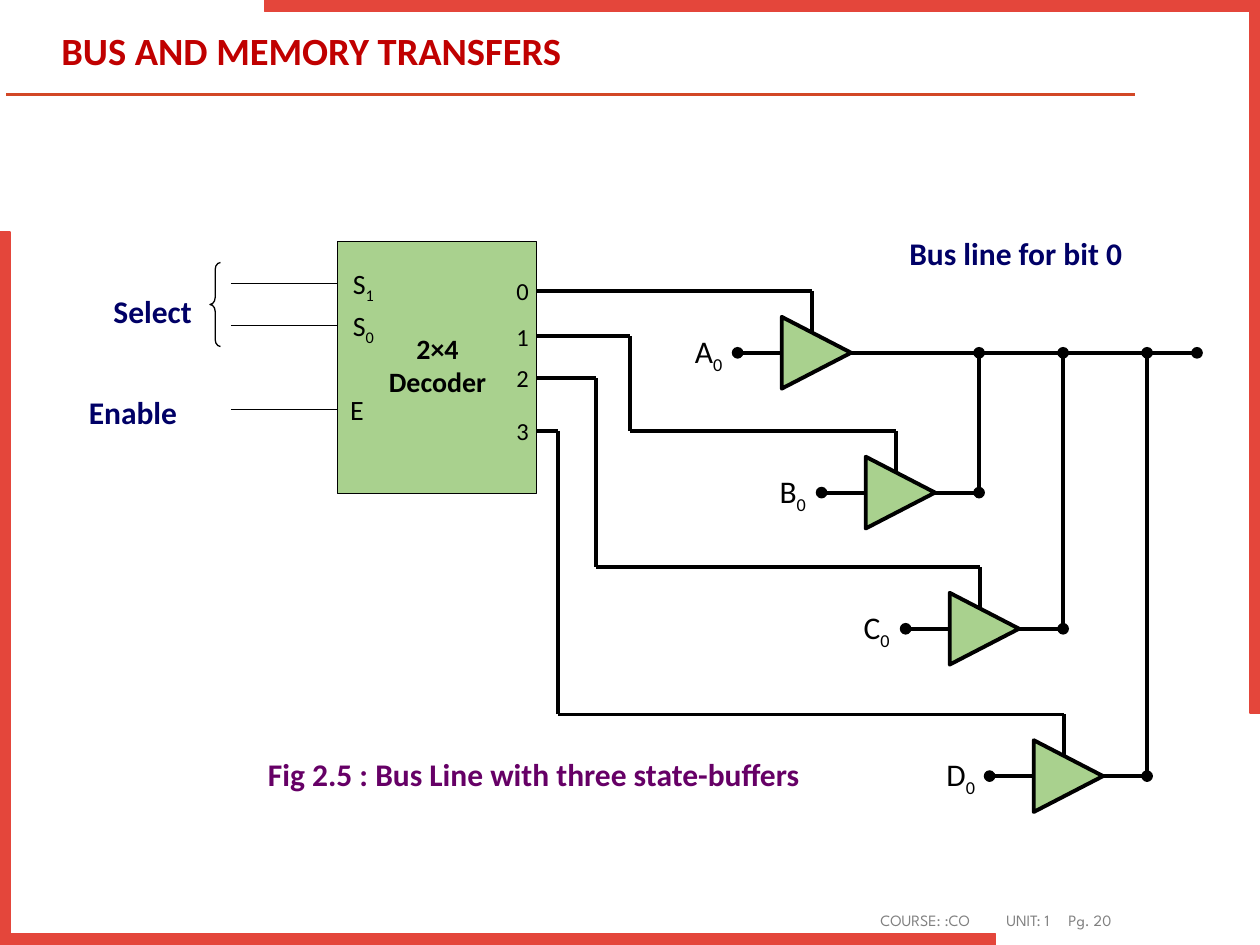
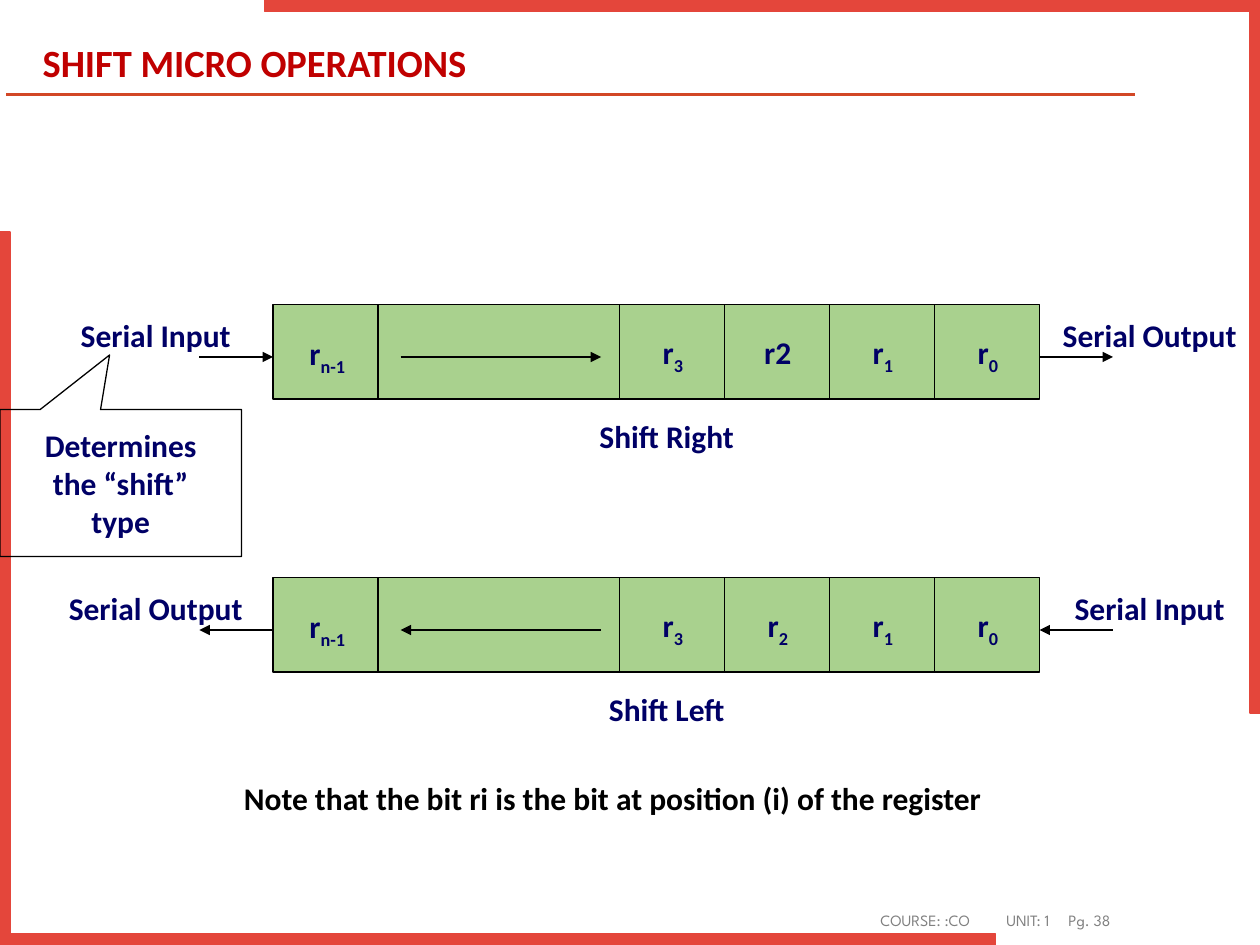
from itertools import pairwise

from lxml import etree
from pptx import Presentation
from pptx import util as u
from pptx.dml.color import RGBColor
from pptx.enum import shapes, text
from pptx.oxml.ns import qn

RED_BAND = RGBColor(0xE4, 0x46, 0x3B)
RULE_RED = RGBColor(0xD2, 0x47, 0x26)
TITLE_RED = RGBColor(0xC0, 0x00, 0x00)
GREEN = RGBColor(0xA9, 0xD1, 0x8E)
NAVY = RGBColor(0x00, 0x00, 0x66)
PURPLE = RGBColor(0x66, 0x00, 0x66)
GRAY = RGBColor(0x80, 0x80, 0x80)
BLACK = RGBColor(0, 0, 0)

LEFT = text.PP_ALIGN.LEFT
CENTER = text.PP_ALIGN.CENTER
THIN, THICK = 0.75, 2.25


def style(size, color, bold=False, name="Calibri"):
    return {"color": color, "font": {"size": u.Pt(size), "bold": bold, "name": name}}


TITLE = style(22, TITLE_RED, True)
FOOTER = style(9, GRAY, name="League Spartan")
HEADING = style(18, NAVY, True)
CAPTION = style(18, PURPLE, True)
NOTE = style(18, BLACK, True)
BLOCK = style(16, BLACK, True)
SIGNAL = style(18, BLACK)
PIN = style(16, BLACK)
PORT = style(14, BLACK)


def label(page, at, words, look, align=CENTER, wrap=True):
    box = page.shapes.add_textbox(*map(u.Pt, at))
    box.text_frame.word_wrap = wrap
    para = box.text_frame.paragraphs[0]
    para.alignment = align
    for index, part in enumerate(words.split("_")):
        span = para.add_run()
        span.text = part
        for attribute, value in look["font"].items():
            setattr(span.font, attribute, value)
        span.font.color.rgb = look["color"]
        if index:
            span._r.get_or_add_rPr().set("baseline", "-25000")
    return box


def figure(page, kind, at, fill=None, line=BLACK, width=THIN, rotation=0, adjust=()):
    item = page.shapes.add_shape(kind, *map(u.Pt, at))
    item.shadow.inherit = False
    item.rotation = rotation
    if fill is None:
        item.fill.background()
    else:
        item.fill.solid()
        item.fill.fore_color.rgb = fill
    item.line.color.rgb = line
    item.line.width = u.Pt(width)
    for index, value in enumerate(adjust):
        item.adjustments[index] = value
    return item


def line(page, start, end, width=THIN, color=BLACK, **ends):
    link = page.shapes.add_connector(
        shapes.MSO_CONNECTOR.STRAIGHT, *map(u.Pt, (*start, *end)))
    link.line.color.rgb = color
    link.line.width = u.Pt(width)
    outline = link.line._get_or_add_ln()
    for tag in ("headEnd", "tailEnd"):
        if tag in ends:
            etree.SubElement(outline, qn(f"a:{tag}"), type=ends[tag])
    etree.SubElement(link._element.spPr, qn("a:effectLst"))


def wire(page, points):
    for start, end in pairwise(points):
        line(page, start, end, THICK)


def add_page(deck, title, title_at, number):
    page = deck.slides.add_slide(deck.slide_layouts[6])
    line(page, (3.6, 54), (648.7, 54), 2, RULE_RED)
    for at, rotation in (((151.2, 0, 568.8, 407.5), 180), ((0, 132.5, 568.8, 407.5), 0)):
        figure(page, shapes.MSO_SHAPE.CORNER, at, RED_BAND, RED_BAND, 1,
               rotation, (0.016, 0.014))
    footer = label(page, (496, 517, 180, 16), f"COURSE: :CO\tUNIT: 1\tPg. {number}",
                   FOOTER, LEFT)
    para = footer.text_frame.paragraphs[0]
    para.space_after = u.Pt(6)
    stops = etree.SubElement(para._p.get_or_add_pPr(), qn("a:tabLst"))
    for position in (72, 107.5):
        etree.SubElement(stops, qn("a:tab"), pos=str(u.Pt(position)), algn="l")
    heading = label(page, title_at, title, TITLE, LEFT)
    heading.text_frame.vertical_anchor = text.MSO_ANCHOR.MIDDLE
    heading.text_frame.paragraphs[0].line_spacing = 0.9
    return page


def tri_state_buffer(page, name, x, y, bus_y):
    figure(page, shapes.MSO_SHAPE.ISOSCELES_TRIANGLE, (x, y - 19.8, 41, 39.6),
           GREEN, width=THICK, rotation=90)
    line(page, (x - 24.5, y), (x + 0.5, y), THICK, headEnd="oval")
    label(page, (x - 62, y - 15.5, 42, 29), f"{name}_0", SIGNAL)
    if y == bus_y:
        line(page, (x + 40, y), (684, y), THICK, tailEnd="oval")
    else:
        output = x + 65.5
        line(page, (x + 40, y), (output, y), THICK, tailEnd="oval")
        line(page, (output, y), (output, bus_y), THICK, tailEnd="oval")


def bus_line_page(deck):
    page = add_page(deck, "BUS AND MEMORY TRANSFERS", (28, 15, 541.5, 31), 20)
    bus_y, decoder_right = 201.6, 306.7
    channels = (("A", 201.6, 166.4, None), ("B", 281.5, 192.2, 360),
                ("C", 359.3, 216, 340.5), ("D", 443.5, 246.2, 319))

    figure(page, shapes.MSO_SHAPE.RECTANGLE, (193, 138, decoder_right - 193, 144), GREEN)
    label(page, (205, 185.8, 90, 46), "2×4 Decoder", BLOCK)
    for index, (name, y, port, turn) in enumerate(channels):
        x, rail = 446 + 48 * index, y - 35.2
        tri_state_buffer(page, name, x, y, bus_y)
        corners = [(turn, port), (turn, rail)] if turn else []
        wire(page, [(decoder_right, port), *corners, (x + 18, rail), (x + 18, y - 11.5)])
        label(page, (283.7, port - 12, 30, 24), str(index), PORT)

    for name, x, y in (("S_1", 183.6, 162), ("S_0", 183.6, 186), ("E", 180, 234)):
        line(page, (132, y), (192.5, y))
        label(page, (x, y - 13.5, 48, 27), name, PIN)
    figure(page, shapes.MSO_SHAPE.LEFT_BRACE, (120, 150, 6, 48), adjust=(0.667, 0.5))

    for words, at in (("Bus line for bit 0", (471, 130.3, 219, 29)),
                      ("Select", (54.7, 163.4, 65, 29)),
                      ("Enable", (24.5, 221, 103, 29))):
        label(page, at, words, HEADING)
    caption = label(page, (146, 431.3, 336, 69),
                    "Fig 2.5 : Bus Line with three state-buffers", CAPTION, LEFT, False)
    caption.text_frame.paragraphs[0].line_spacing = u.Pt(18)
    caption.text_frame.paragraphs[0].space_after = u.Pt(6)


def shift_register(page, top, name, to_right, second_bit):
    figure(page, shapes.MSO_SHAPE.RECTANGLE, (156, top, 438, 54), GREEN)
    for x in (216, *range(354, 594, 60)):
        line(page, (x, top), (x, top + 54))
    for left, right in ((114, 156), (229, 343.5), (594, 636)):
        start, end = (left, right) if to_right else (right, left)
        line(page, (start, top + 30), (end, top + 30), tailEnd="triangle")
    label(page, (159, top + 13.3, 56, 29), "r_n-1", HEADING)
    for index, bit in enumerate(("r_3", second_bit, "r_1", "r_0")):
        label(page, (363.5 + 60 * index, top + 13, 42, 29), bit, HEADING)
    label(page, (246, top + 60.5, 270, 29), name, HEADING)
    ends = ("Serial Input", "Serial Output")
    for x, words in zip((20, 588), ends if to_right else ends[::-1]):
        label(page, (x, top + 3, 138, 29), words, HEADING)


def shift_page(deck):
    page = add_page(deck, "SHIFT MICRO OPERATIONS", (17.3, 16.5, 551.5, 41), 38)
    shift_register(page, 174, "Shift Right", True, "r2")
    shift_register(page, 330, "Shift Left", False, "r_2")
    figure(page, shapes.MSO_SHAPE.RECTANGULAR_CALLOUT, (0, 234, 138, 84),
           adjust=(-0.046, -0.871))
    label(page, (6, 240, 126, 72), "Determines the “shift” type", HEADING)
    label(page, (52.5, 441.5, 595.5, 29),
          "Note that the bit ri is the bit at position (i) of the register", NOTE)


def main():
    deck = Presentation()
    deck.slide_width, deck.slide_height = u.Pt(720), u.Pt(540)
    bus_line_page(deck)
    shift_page(deck)
    deck.save("out.pptx")


if __name__ == "__main__":
    main()
